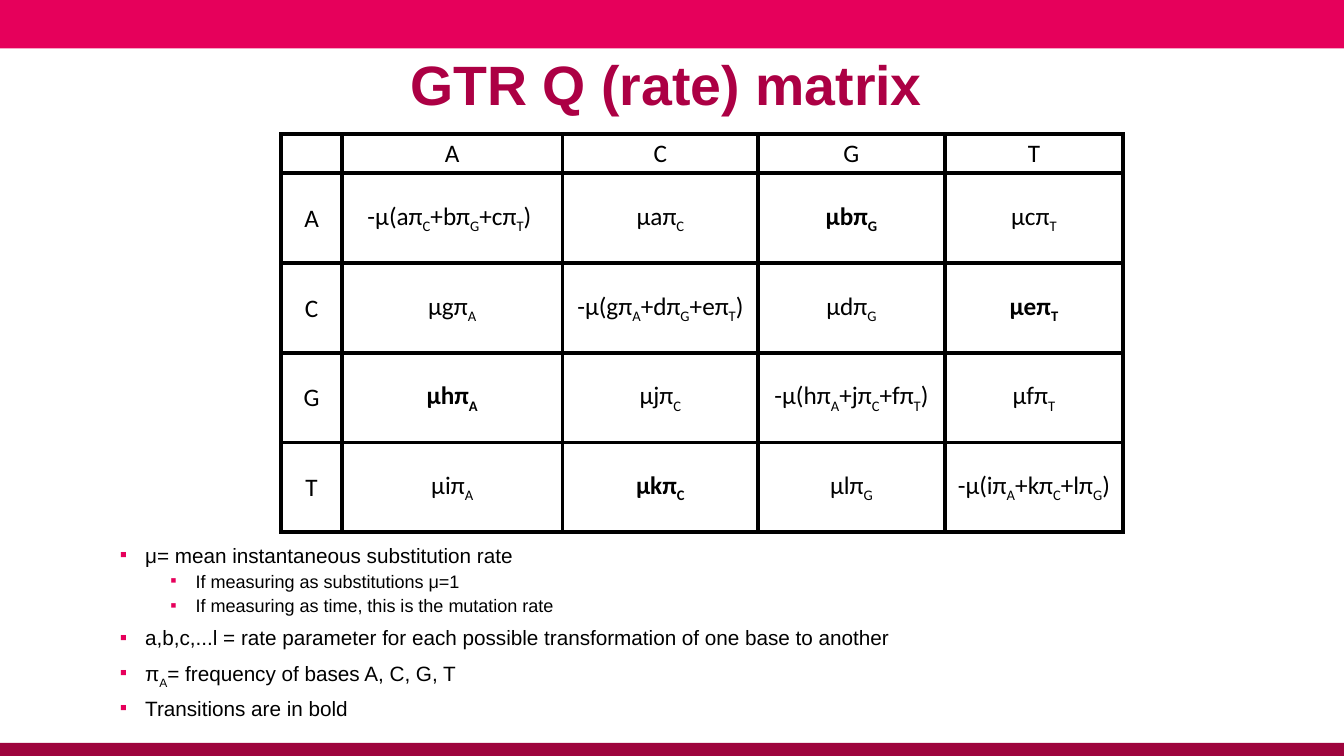
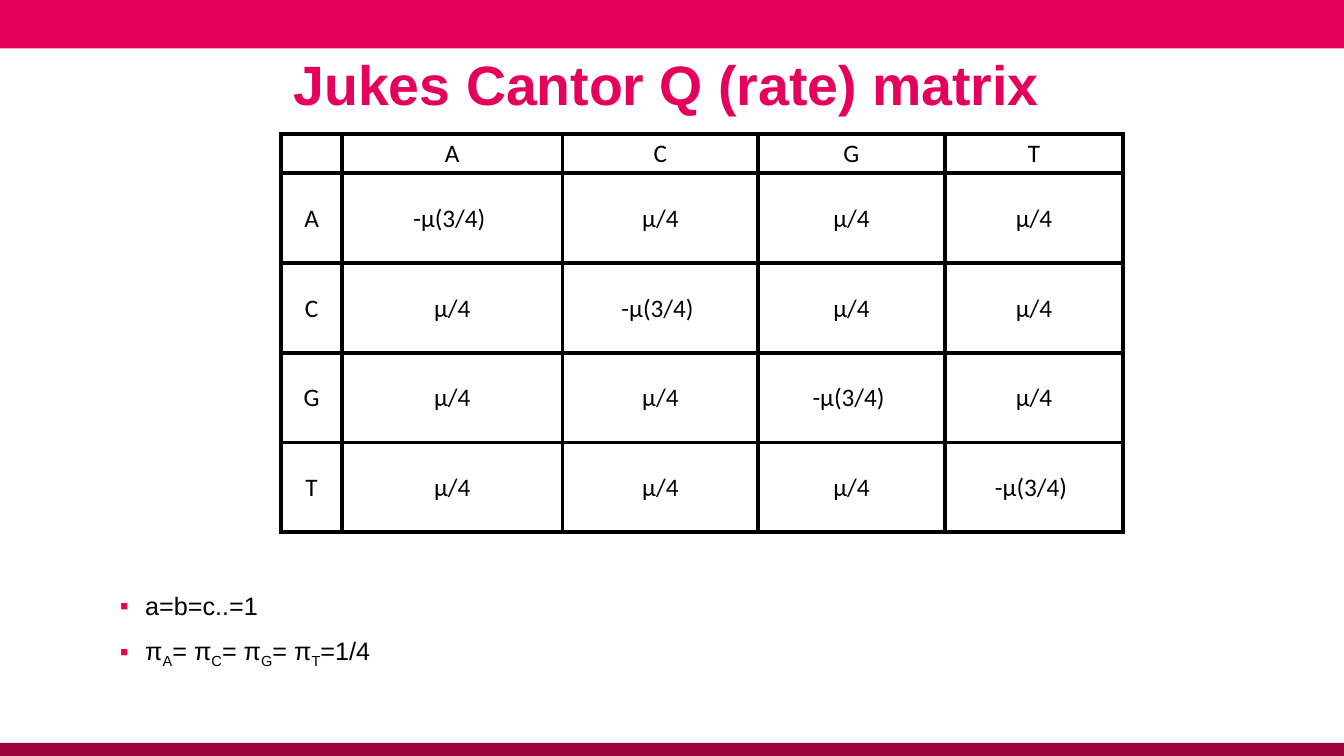
from dataclasses import dataclass

from lxml.etree import SubElement
from pptx import Presentation
from pptx.dml.color import RGBColor as RGB
from pptx.enum.shapes import MSO_SHAPE as Shape
from pptx.enum.text import MSO_ANCHOR as Anchor, MSO_AUTO_SIZE as AutoSize, PP_ALIGN as Align
from pptx.oxml.ns import qn
from pptx.util import Inches, Pt


@dataclass(frozen=True)
class Theme:
    pink: str = "E6005B"
    dark_pink: str = "9E043D"
    gtr_title: str = "AC0044"
    jukes_title: str = "E5005B"
    black: str = "000000"
    text_font: str = "Arial"
    table_font: str = "Calibri"
    title_size: float = 39.6
    cell_size: float = 18
    border: float = 3


THEME = Theme()
BASES = "ACGT"
TRANSITIONS = {"AG", "GA", "CT", "TC"}
COLUMN_WIDTHS = [0.6, 2.19, 1.94, 1.85, 1.77]
ROW_HEIGHTS = [0.39] + [0.89] * len(BASES)

# In all wording below, "_" makes the next character a subscript.
MATRICES = [
    dict(
        title="GTR Q (rate) matrix",
        title_color=THEME.gtr_title,
        bold_transitions=True,
        rates=[
            ["-μ(aπ_C+bπ_G+cπ_T) ", "μaπ_C", "μbπ_G", "μcπ_T"],
            ["μgπ_A", "-μ(gπ_A+dπ_G+eπ_T)", "μdπ_G", "μeπ_T"],
            ["μhπ_A", "μjπ_C", "-μ(hπ_A+jπ_C+fπ_T)", "μfπ_T"],
            ["μiπ_A", "μkπ_C", "μlπ_G", "-μ(iπ_A+kπ_C+lπ_G)"],
        ],
        bullets=[
            (0, "μ= mean instantaneous substitution rate"),
            (1, "If measuring as substitutions μ=1"),
            (1, "If measuring as time, this is the mutation rate"),
            (0, "a,b,c,...l = rate parameter for each possible transformation "
                "of one base to another"),
            (0, "π_A= frequency of bases A, C, G, T"),
            (0, "Transitions are in bold"),
        ],
        bullet_sizes=[14.8, 12.9],
        bullet_spacing=0.8,
        bullet_top=0.05,
    ),
    dict(
        title="Jukes Cantor Q (rate) matrix",
        title_color=THEME.jukes_title,
        bold_transitions=False,
        rates=[["-μ(3/4) " if row == col else "μ/4" for col in BASES] for row in BASES],
        bullets=[(0, "a=b=c..=1"), (0, "π_A= π_C= π_G= π_T=1/4")],
        bullet_sizes=[18],
        bullet_spacing=1.0,
        bullet_top=0.48,
    ),
]


def write(paragraph, text, *, size, font=THEME.text_font, color=THEME.black,
          bold=False, align=Align.LEFT, spacing=1.0, before=0):
    """Fill a paragraph, lowering each character that follows an underscore."""
    paragraph.alignment = align
    paragraph.line_spacing = spacing
    paragraph.space_before = Pt(before)
    start, *rest = text.split("_")
    pieces = [(start, False)]
    for part in rest:
        pieces += [(part[0], True), (part[1:], False)]
    for piece, lowered in pieces:
        if not piece:
            continue
        run = paragraph.add_run()
        run.text = piece
        run.font.name = font
        run.font.size = Pt(size)
        run.font.bold = bold
        run.font.color.rgb = RGB.from_string(color)
        if lowered:
            run.font._element.set("baseline", "-25000")


def draw_borders(cell):
    properties = cell._tc.get_or_add_tcPr()
    for side in ("a:lnL", "a:lnR", "a:lnT", "a:lnB"):
        line = SubElement(properties, qn(side), w=str(Pt(THEME.border)))
        fill = SubElement(line, qn("a:solidFill"))
        SubElement(fill, qn("a:srgbClr"), val=THEME.black)


prs = Presentation()
prs.slide_width, prs.slide_height = Inches(13.33), Inches(7.5)
layout = prs.slide_layouts[1]
slides = [prs.slides.add_slide(layout) for _ in MATRICES]

# Shared layout: title and body places, and the two bands
title_holder, body_holder = layout.placeholders[0], layout.placeholders[1]
for holder, box, anchor in (
    (title_holder, (0.48, 0.49, 12.36, 0.75), Anchor.MIDDLE),
    (body_holder, (1.19, 5.38, 11.54, 1.86), Anchor.TOP),
):
    holder.left, holder.top, holder.width, holder.height = map(Inches, box)
    frame = holder.text_frame
    frame.margin_left, frame.margin_right = 0, Inches(0.1)
    frame.margin_top = frame.margin_bottom = Inches(0.05)
    frame.vertical_anchor = anchor
    frame.auto_size = AutoSize.NONE

for top, height, color in ((0, 0.48, THEME.pink), (7.37, 0.14, THEME.dark_pink)):
    band = slides[0].shapes.add_shape(
        Shape.RECTANGLE, 0, Inches(top), prs.slide_width, Inches(height))
    band.shadow.inherit = False
    band.fill.solid()
    band.fill.fore_color.rgb = RGB.from_string(color)
    band.line.fill.background()
    layout.shapes.element.insert(2, band.element)

for slide, matrix in zip(slides, MATRICES):
    write(slide.shapes.title.text_frame.paragraphs[0], matrix["title"],
          size=THEME.title_size, color=matrix["title_color"], bold=True,
          align=Align.CENTER, spacing=0.9)

    notes = slide.placeholders[1].text_frame
    notes.margin_top = Inches(matrix["bullet_top"])
    for index, (level, text) in enumerate(matrix["bullets"]):
        paragraph = notes.add_paragraph() if index else notes.paragraphs[0]
        paragraph.level = level
        write(paragraph, text, size=matrix["bullet_sizes"][level],
              spacing=matrix["bullet_spacing"], before=(10, 5)[level])
        properties = paragraph._p.get_or_add_pPr()
        properties.set("marL", str(Inches(0.25 + 0.5 * level)))
        properties.set("indent", str(Inches(-0.25)))
        bullet_color = SubElement(properties, qn("a:buClr"))
        SubElement(bullet_color, qn("a:srgbClr"), val=THEME.pink)
        SubElement(properties, qn("a:buFont"), typeface=THEME.text_font)
        SubElement(properties, qn("a:buChar"), char="▪")

    table = slide.shapes.add_table(
        len(ROW_HEIGHTS), len(COLUMN_WIDTHS), Inches(2.79), Inches(1.33),
        Inches(sum(COLUMN_WIDTHS)), Inches(sum(ROW_HEIGHTS))).table
    table.first_row = table.horz_banding = False
    for column, width in zip(table.columns, COLUMN_WIDTHS):
        column.width = Inches(width)
    for row, height in zip(table.rows, ROW_HEIGHTS):
        row.height = Inches(height)

    grid = [["", *BASES]] + [[base, *rates] for base, rates in zip(BASES, matrix["rates"])]
    for row, texts in enumerate(grid):
        for col, text in enumerate(texts):
            cell = table.cell(row, col)
            cell.margin_left = cell.margin_right = cell.margin_top = Inches(0.01)
            cell.margin_bottom = 0
            cell.vertical_anchor = Anchor.MIDDLE
            draw_borders(cell)
            cell.fill.background()
            change = grid[row][0] + grid[0][col]
            write(cell.text_frame.paragraphs[0], text, size=THEME.cell_size,
                  font=THEME.table_font, align=Align.CENTER,
                  bold=matrix["bold_transitions"] and change in TRANSITIONS)

prs.save("out.pptx")
